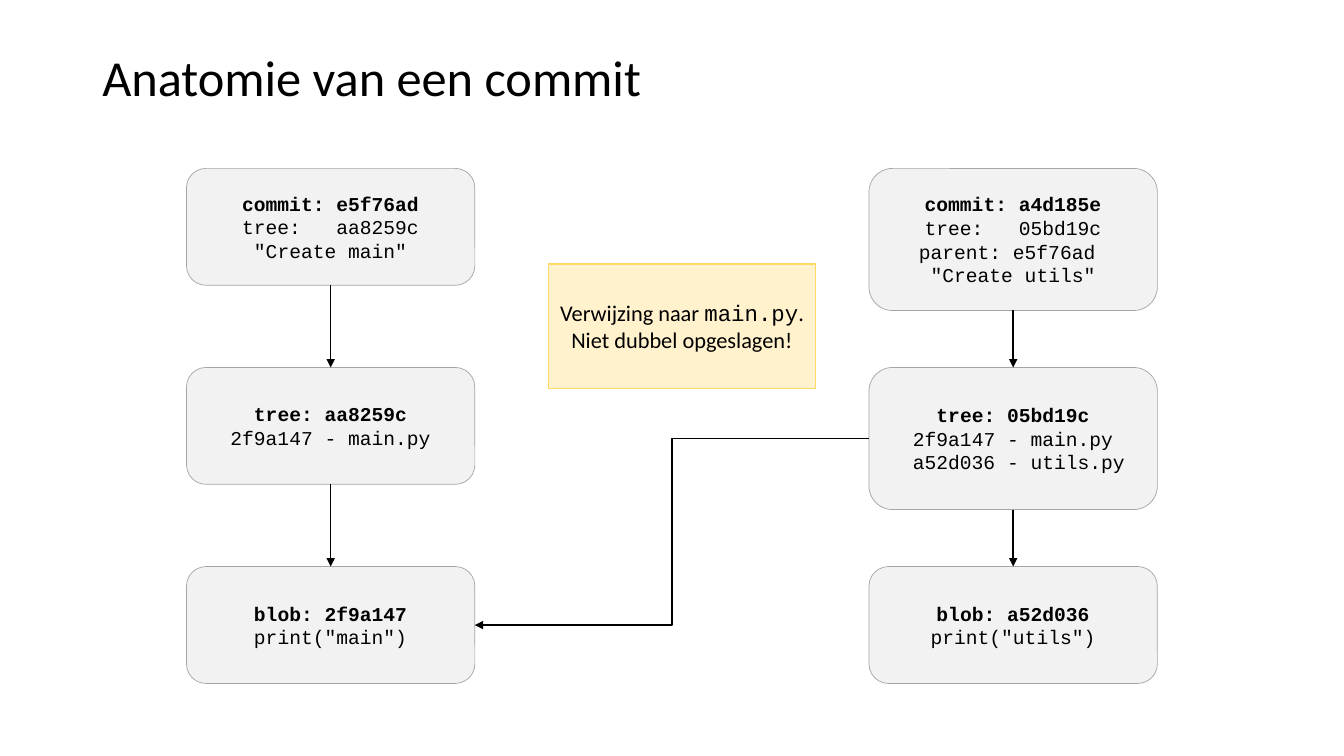
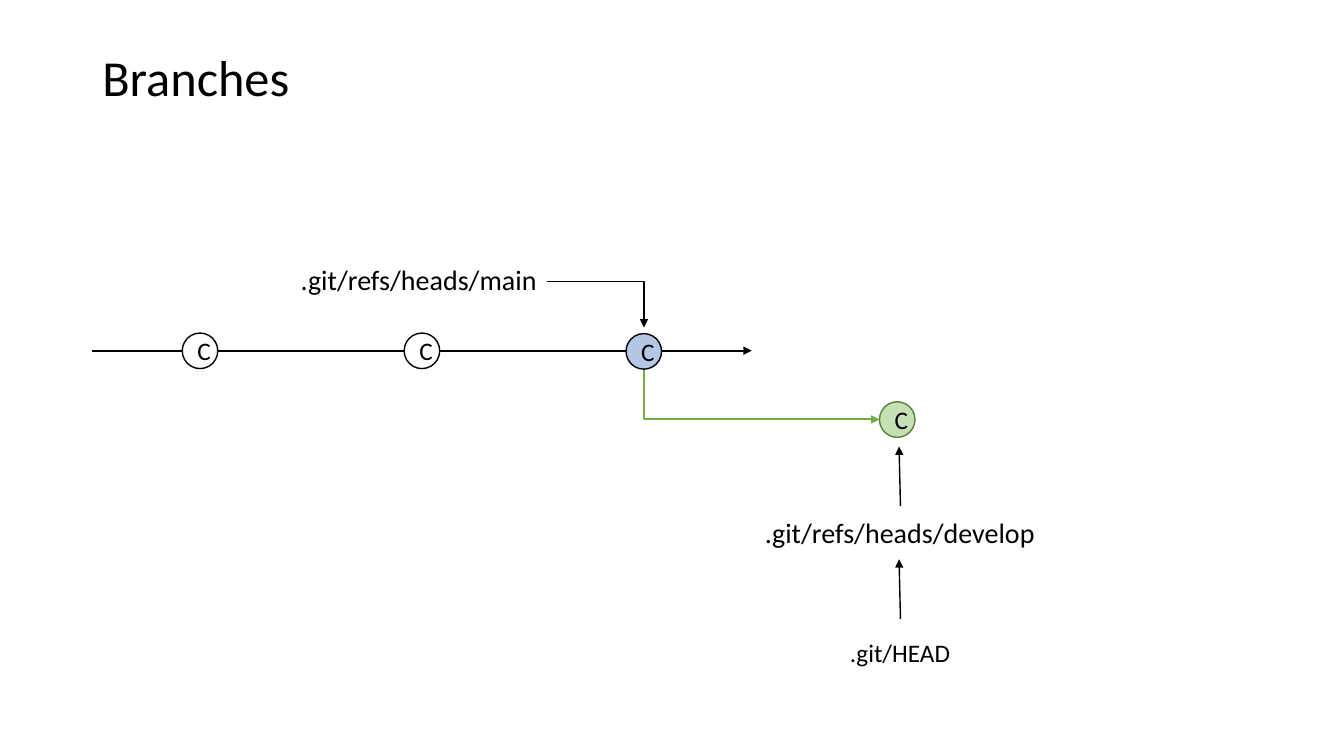
from dataclasses import dataclass
from itertools import pairwise

from lxml.etree import SubElement
from pptx import Presentation
from pptx.dml.color import RGBColor
from pptx.enum.shapes import MSO_CONNECTOR, MSO_SHAPE
from pptx.enum.text import MSO_ANCHOR, PP_ALIGN
from pptx.oxml.ns import qn
from pptx.shapes.autoshape import Shape
from pptx.shapes.connector import Connector
from pptx.slide import Slide
from pptx.text.text import Font, TextFrame
from pptx.util import Pt

COLOR = {
    "black": "000000", "white": "FFFFFF", "pale": "F2F2F2", "gray": "A5A5A5",
    "cream": "FFF2CC", "gold": "FFD966", "blue": "B4C7E7",
    "mint": "C5E0B4", "moss": "548235", "green": "70AD47",
}
SANS, MONO = "Calibri", "Courier New"
TOP, LEFT, BOTTOM, RIGHT = range(4)
CENTER = PP_ALIGN.CENTER


@dataclass
class Look:
    """Fill, outline and outline width of a shape."""
    fill: str
    line: str = "black"
    width: float = 1


@dataclass
class Card:
    """A Git object: its lines of text and its height."""
    lines: list[str]
    high: float = 83.5


@dataclass
class Node:
    """A commit on a branch."""
    left: float
    top: float
    look: Look


@dataclass
class Label:
    """A reference name next to the graph."""
    text: str
    left: float
    top: float
    wide: float
    align: PP_ALIGN


CARD = Look("pale", "gray", 0.5)
NOTE = Look("cream", "gold")
PLAIN = Look("white")
BLANK = Look("white", "white")

CHAINS = [
    (133.2, [
        Card(["commit: e5f76ad", "tree:   aa8259c", '"Create main"']),
        Card(["tree: aa8259c", "2f9a147 - main.py"]),
        Card(["blob: 2f9a147", 'print("main")']),
    ]),
    (620.7, [
        Card(["commit: a4d185e", "tree:   05bd19c", "parent: e5f76ad ",
              '"Create utils"'], 101.5),
        Card(["tree: 05bd19c", "2f9a147 - main.py", " a52d036 - utils.py"],
             101.5),
        Card(["blob: a52d036", 'print("utils")']),
    ]),
]
NODES = [
    Node(130.2, 237.9, PLAIN),
    Node(288.7, 237.9, PLAIN),
    Node(447.2, 238.3, Look("blue")),
    Node(628.2, 287, Look("mint", "moss")),
]
LABELS = [
    Label(".git/refs/heads/main", 66, 183.8, 324.5, PP_ALIGN.RIGHT),
    Label(".git/refs/heads/develop", 537.2, 364.5, 211, CENTER),
]


def rgb(name: str) -> RGBColor:
    """Look up a colour by name."""
    return RGBColor.from_string(COLOR[name])


def style(font: Font, size: float, face: str = SANS, bold: bool = False) -> None:
    """Set size, face, weight and black colour."""
    font.size, font.name, font.bold = Pt(size), face, bold
    font.color.rgb = rgb("black")


def write(frame: TextFrame, lines: list[str], size: float, face: str = SANS,
          align: PP_ALIGN = CENTER, head: bool = False) -> None:
    """Write one paragraph a line, the first in bold if it is a head."""
    frame.word_wrap = True
    for i, line in enumerate(lines):
        para = frame.paragraphs[0] if i == 0 else frame.add_paragraph()
        para.text, para.alignment = line, align
        style(para.font, size, face, head and i == 0)


def shape(slide: Slide, kind: MSO_SHAPE, look: Look, left: float, top: float,
          wide: float, high: float) -> Shape:
    """Add a filled and outlined shape."""
    item = slide.shapes.add_shape(kind, Pt(left), Pt(top), Pt(wide), Pt(high))
    item.shadow.inherit = False
    item.fill.solid()
    item.fill.fore_color.rgb = rgb(look.fill)
    item.line.color.rgb = rgb(look.line)
    item.line.width = Pt(look.width)
    item.text_frame.vertical_anchor = MSO_ANCHOR.MIDDLE
    return item


def label(slide: Slide, text: str, left: float, top: float, wide: float,
          high: float, size: float, align: PP_ALIGN) -> TextFrame:
    """Add a text box of one line."""
    box = slide.shapes.add_textbox(Pt(left), Pt(top), Pt(wide), Pt(high))
    write(box.text_frame, [text], size, align=align)
    return box.text_frame


def arrow(slide: Slide, x1: float, y1: float, x2: float, y2: float,
          kind: MSO_CONNECTOR = MSO_CONNECTOR.STRAIGHT, width: float = 1,
          color: str = "black") -> Connector:
    """Add a connector with an arrowhead at its end."""
    link = slide.shapes.add_connector(kind, Pt(x1), Pt(y1), Pt(x2), Pt(y2))
    link.line.color.rgb = rgb(color)
    link.line.width = Pt(width)
    SubElement(link.get_or_add_ln(), qn("a:tailEnd"), type="triangle")
    SubElement(link.element.spPr, qn("a:effectLst"))
    return link


def join(slide: Slide, start: Shape, out: int, end: Shape, into: int,
         kind: MSO_CONNECTOR = MSO_CONNECTOR.STRAIGHT) -> None:
    """Link the sides of two shapes by an arrow."""
    link = arrow(slide, 0, 0, 0, 0, kind)
    link.begin_connect(start, out)
    link.end_connect(end, into)


def bend(slide: Slide, x1: float, y1: float, x2: float, y2: float,
         down: bool = False, width: float = 1, color: str = "black") -> None:
    """Add an arrow with one corner, going right or down first."""
    if down:
        midx, midy = (x1 + x2) / 2, (y1 + y2) / 2
        dx, dy = (y2 - y1) / 2, (x2 - x1) / 2
        x1, y1, x2, y2 = midx - dx, midy - dy, midx + dx, midy + dy
    link = arrow(slide, x1, y1, x2, y2, MSO_CONNECTOR.ELBOW, width, color)
    props = link.element.spPr
    props.find(qn("a:prstGeom")).set("prst", "bentConnector2")
    if down:
        frame = props.find(qn("a:xfrm"))
        frame.set("rot", "16200000")
        frame.set("flipH", "1")


def page(deck: Presentation, title: str) -> Slide:
    """Add a blank slide with a title."""
    slide = deck.slides.add_slide(deck.slide_layouts[6])
    frame = label(slide, title, 66, 28.8, 828, 56.9, 36, PP_ALIGN.LEFT)
    frame.vertical_anchor = MSO_ANCHOR.MIDDLE
    frame.paragraphs[0].line_spacing = 0.9
    return slide


def commit(deck: Presentation) -> None:
    """Draw the objects behind two commits."""
    slide = page(deck, "Anatomie van een commit")
    cols = []
    for left, cards in CHAINS:
        col = []
        for i, card in enumerate(cards):
            box = shape(slide, MSO_SHAPE.ROUNDED_RECTANGLE, CARD, left,
                        120.3 + 142.2 * i, 206, card.high)
            write(box.text_frame, card.lines, 14, MONO, head=True)
            col.append(box)
        for upper, lower in pairwise(col):
            join(slide, upper, BOTTOM, lower, TOP)
        cols.append(col)
    join(slide, cols[1][1], LEFT, cols[0][2], RIGHT, MSO_CONNECTOR.ELBOW)

    note = shape(slide, MSO_SHAPE.RECTANGLE, NOTE, 391.7, 188.6, 191, 89)
    write(note.text_frame, ["", "Niet dubbel opgeslagen!"], 16)
    para = note.text_frame.paragraphs[0]
    for text, face in [("Verwijzing naar ", SANS), ("main.py", MONO), (".", SANS)]:
        run = para.add_run()
        run.text = text
        style(run.font, 16, face)


def branch(deck: Presentation) -> None:
    """Draw two branches and their references."""
    slide = page(deck, "Branches")
    for ref in LABELS:
        label(slide, ref.text, ref.left, ref.top, ref.wide, 31.5, 20, ref.align)
    head = shape(slide, MSO_SHAPE.RECTANGLE, BLANK, 572.4, 444.5, 141, 42.5)
    write(head.text_frame, [".git/HEAD"], 18)
    bend(slide, 390.5, 201, 460, 234)
    bend(slide, 460, 263.5, 628.2, 299.6, True, 1.5, "green")
    arrow(slide, 66, 250.5, 537, 250.5, width=1.5)
    for node in NODES:
        dot = shape(slide, MSO_SHAPE.OVAL, node.look, node.left, node.top,
                    25.4, 25.4)
        write(dot.text_frame, ["C"], 18)
    for low in (442, 361.5):
        arrow(slide, 643.2, low, 642.2, low - 42.5)


def main() -> None:
    """Build and save the slides."""
    deck = Presentation()
    deck.slide_width, deck.slide_height = Pt(960), Pt(540)
    commit(deck)
    branch(deck)
    deck.save("out.pptx")


if __name__ == "__main__":
    main()
